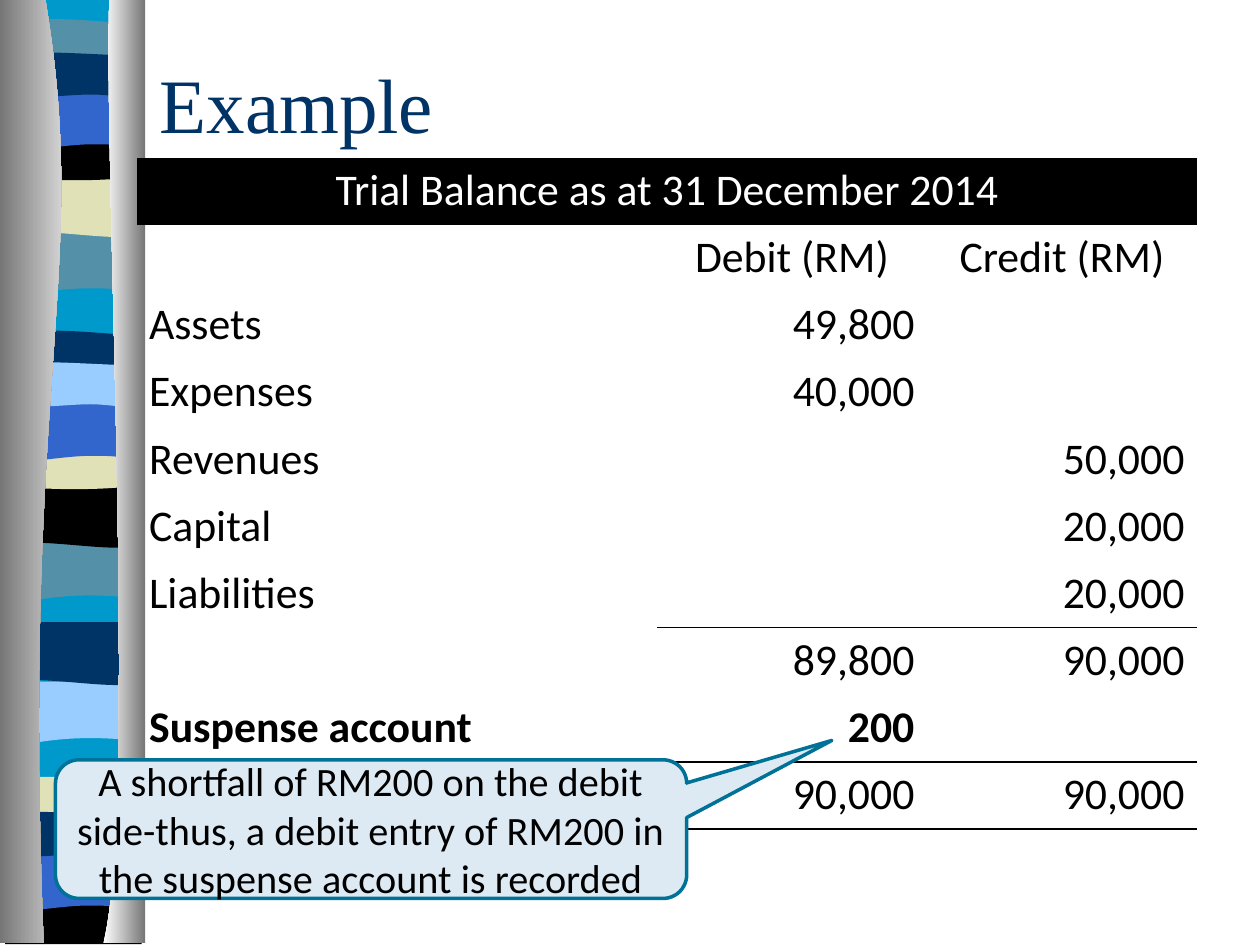
from pptx import Presentation
from pptx.dml.color import RGBColor
from pptx.enum.shapes import MSO_SHAPE as Shape
from pptx.enum.text import MSO_ANCHOR as Anchor, PP_ALIGN as Align
from pptx.oxml import parse_xml
from pptx.oxml.ns import nsdecls, qn
from pptx.util import Pt

COLORS = {
    "navy": "003366", "blue": "3366CC", "sky": "99CCFF", "cyan": "0099CC",
    "teal": "5490A8", "sand": "E1E1B7", "black": "000000", "white": "FFFFFF",
    "grey": "767676", "callout": "DDEAF3", "callout_line": "007197",
}
NO_GRID_STYLE = "{2D5ABB26-0587-4C30-8999-92F81FD0307C}"

# Band profiles: top edge left to right, bottom edge right to left (Bezier points)
FLAT = [(0, 0), (78, 0)]
CREST = [(0, 0), (48, 4), (61, 0), (78, 0)]
PROFILES = {
    "rise": (FLAT, [(78, 34), (24, 28), (13, 40), (0, 34)]),
    "roll": (FLAT, [(78, 34), (65, 40), (24, 30), (0, 34)]),
    "thin": ([(0, 3.5), (5, 0), (17, 0.5), (30, 0.5), (42, 0.5), (68, 3), (78, 3.5)],
             [(78, 21), (65, 24), (13, 24), (0, 21)]),
    "bowl": (CREST, [(78, 23), (65, 27), (13, 27), (0, 23)]),
    "arch": (FLAT, [(78, 34), (66, 30), (61, 30), (48, 30), (35, 30), (12, 34), (0, 34)]),
    "swell": ([(0, 3.5), (11, 0), (53, 3.5), (66, 3.5), (79, 3.5), (75, 3.5), (78, 3.5)],
              [(78, 26), (73, 29.5), (61, 26), (48, 26), (35, 26), (8, 29.5), (0, 26)]),
    "base": (CREST, [(78, 27), (0, 27)]),
}
# Bands from back to front: profile, left, top, colour
BANDS = [
    ("rise", 3.5, 132.5, "teal"), ("roll", 4, 99.5, "sand"), ("thin", 4, 10.5, "teal"),
    ("bowl", 3.5, 77, "black"), ("arch", 4, 52.5, "blue"), ("swell", 4, 28, "navy"),
    ("rise", 2.5, 308, "teal"), ("roll", 2.5, 277, "black"), ("thin", 3.5, 188.5, "navy"),
    ("bowl", 3.5, 253.5, "sand"), ("arch", 3.5, 230.5, "blue"), ("swell", 3.5, 205, "sky"),
    ("rise", 2.5, 389.5, "sky"), ("roll", 2.5, 355.5, "navy"), ("thin", 2, 443.5, "sand"),
    ("base", 3, 512.5, "black"), ("arch", 1.5, 487.5, "blue"), ("swell", 1.5, 462, "navy"),
]
LEFT_PILLAR = [(26, 0), (52, 155.5), (12, 213), (25, 539)], [(0, 539), (0, 0)]
RIGHT_PILLAR = [(62.5, 0), (59, 90), (79, 465), (59, 539)], [(83, 539), (83, 0)]

TRIAL_BALANCE = [
    ("Trial Balance as at 31 December 2014", "", ""),
    ("", "Debit (RM)", "Credit (RM)"),
    ("Assets", "49,800", ""),
    ("Expenses", "40,000", ""),
    ("Revenues", "", "50,000"),
    ("Capital", "", "20,000"),
    ("Liabilities", "", "20,000"),
    ("", "89,800", "90,000"),
    ("Suspense account", "200", ""),
    ("", "90,000", "90,000"),
]
SUSPENSE_ROW = 8
RULED_ROWS = (6, 8, 9)


def rgb(name):
    return RGBColor.from_string(COLORS[name])


def write(paragraph, text, size, font, color, align, bold=False):
    paragraph.alignment = align
    run = paragraph.add_run()
    run.text = text
    run.font.size, run.font.name, run.font.bold = Pt(size), font, bold
    run.font.color.rgb = rgb(color)


def bend(outline, edges):
    """Turn each three line segments of a curved edge into one Bezier segment."""
    path = next(outline._element.iter(qn("a:path")))
    segments = list(path)
    start = 0
    for edge in edges:
        if len(edge) > 2:
            for i in range(start + 1, start + len(edge), 3):
                curve = parse_xml(f'<a:cubicBezTo {nsdecls("a")}/>')
                segments[i].addprevious(curve)
                for segment in segments[i:i + 3]:
                    curve.append(segment[0])
                    path.remove(segment)
        start += len(edge)


def add_outline(slide, edges, left=0, top=0):
    corners = [(Pt(left + x), Pt(top + y)) for edge in edges for x, y in edge]
    builder = slide.shapes.build_freeform(*corners[0])
    builder.add_line_segments(corners[1:], close=True)
    outline = builder.convert_to_shape()
    bend(outline, edges)
    outline.shadow.inherit = False
    outline.line.fill.background()
    return outline


def add_band(slide, edges, left, top, color):
    band = add_outline(slide, edges, left, top)
    band.fill.solid()
    band.fill.fore_color.rgb = rgb(color)


def add_pillar(slide, edges, start, end):
    pillar = add_outline(slide, edges)
    pillar.fill.gradient()
    pillar.fill.gradient_angle = 0
    for stop, color in zip(pillar.fill.gradient_stops, (start, end)):
        stop.color.rgb = rgb(color)


def add_ribbon(slide):
    add_band(slide, ([(0, 0), (78, 0)], [(78, 538), (0, 538)]), 4, 0, "cyan")
    for profile, left, top, color in BANDS:
        add_band(slide, PROFILES[profile], left, top, color)
    add_pillar(slide, LEFT_PILLAR, "grey", "white")
    add_pillar(slide, RIGHT_PILLAR, "white", "grey")


def set_title(slide, text):
    title = slide.shapes.title
    title.left, title.top, title.width, title.height = Pt(84), Pt(21), Pt(600), Pt(75)
    title.text_frame.vertical_anchor = Anchor.MIDDLE
    write(title.text_frame.paragraphs[0], text, 44, "Times New Roman", "navy", Align.LEFT)


def rule_below(cell):
    properties = cell._tc.get_or_add_tcPr()
    border = parse_xml(f'<a:lnB {nsdecls("a")} w="12700"><a:solidFill>'
                       f'<a:srgbClr val="{COLORS["black"]}"/></a:solidFill></a:lnB>')
    properties.insert(0, border)


def add_trial_balance(slide):
    row_height = 38.4
    table = slide.shapes.add_table(len(TRIAL_BALANCE), 3, Pt(78), Pt(90), Pt(606),
                                   Pt(row_height * len(TRIAL_BALANCE))).table
    table._tbl.tblPr.find(qn("a:tableStyleId")).text = NO_GRID_STYLE
    table.first_row = table.horz_banding = False
    for column, width in zip(table.columns, (297.4, 154.3, 154.3)):
        column.width = Pt(width)
    for r, texts in enumerate(TRIAL_BALANCE):
        table.rows[r].height = Pt(row_height)
        for c, text in enumerate(texts):
            cell = table.cell(r, c)
            cell.fill.background()
            if text:
                align = Align.CENTER if r < 2 else Align.RIGHT if c else Align.LEFT
                write(cell.text_frame.paragraphs[0], text, 25, "Calibri",
                      "black" if r else "white", align, r == SUSPENSE_ROW)
            if c and r in RULED_ROWS:
                rule_below(cell)
    heading = table.cell(0, 0)
    heading.merge(table.cell(0, 2))
    heading.fill.solid()
    heading.fill.fore_color.rgb = rgb("black")


def add_callout(slide, text):
    callout = slide.shapes.add_shape(Shape.ROUNDED_RECTANGULAR_CALLOUT,
                                     Pt(31.7), Pt(434.2), Pt(360.7), Pt(79.2))
    for i, value in enumerate((0.73, -0.64, 0.17)):
        callout.adjustments[i] = value
    callout.shadow.inherit = False
    callout.fill.solid()
    callout.fill.fore_color.rgb = rgb("callout")
    callout.line.color.rgb = rgb("callout_line")
    callout.line.width = Pt(2)
    frame = callout.text_frame
    frame.word_wrap = True
    frame.vertical_anchor = Anchor.MIDDLE
    write(frame.paragraphs[0], text, 23, "Calibri", "black", Align.CENTER)


def main():
    deck = Presentation()
    deck.slide_width, deck.slide_height = Pt(720), Pt(540)
    slide = deck.slides.add_slide(deck.slide_layouts[5])
    add_ribbon(slide)
    set_title(slide, "Example")
    add_trial_balance(slide)
    add_callout(slide, "A shortfall of RM200 on the debit side-thus, a debit entry "
                       "of RM200 in the suspense account is recorded")
    deck.save("out.pptx")


if __name__ == "__main__":
    main()
